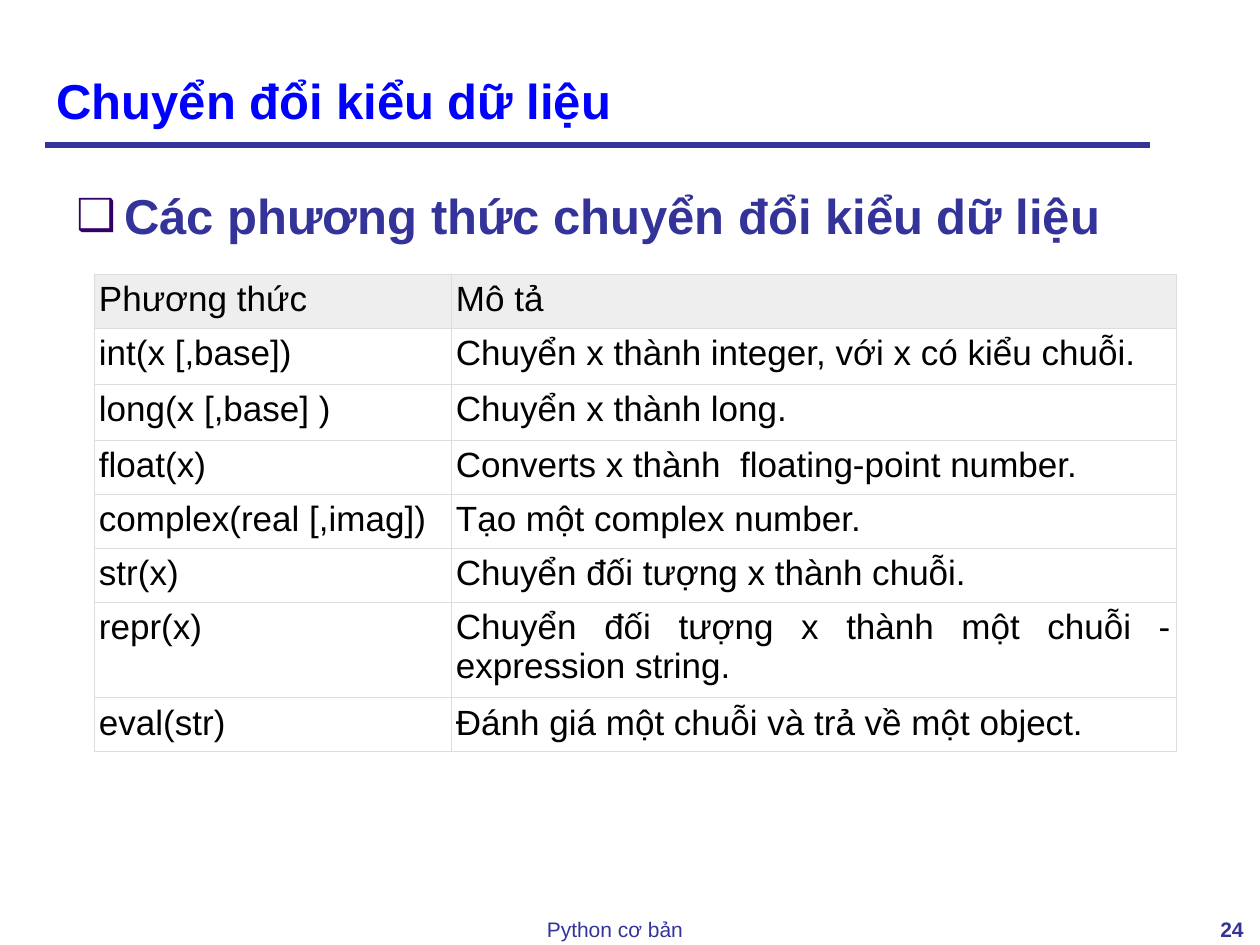
from lxml import etree
from pptx import Presentation
from pptx import util as u
from pptx.dml.color import RGBColor
from pptx.enum import shapes, text
from pptx.oxml import ns

# Content
TITLE = "Chuyển đổi kiểu dữ liệu"
HEADING = "Các phương thức chuyển đổi kiểu dữ liệu"
FOOTER = "Python cơ bản"
PAGE_NUMBER = "24"
METHODS = [
    ("Phương thức", "Mô tả"),
    ("int(x [,base])", "Chuyển x thành integer, với x có kiểu chuỗi."),
    ("long(x [,base] )", "Chuyển x thành long."),
    ("float(x)", "Converts x thành  floating-point number."),
    ("complex(real [,imag])", "Tạo một complex number."),
    ("str(x)", "Chuyển đối tượng x thành chuỗi."),
    ("repr(x)", "Chuyển đối tượng x thành một chuỗi - expression string."),
    ("eval(str)", "Đánh giá một chuỗi và trả về một object."),
]

# Measures in px
COLUMN_WIDTHS = (357, 725)
ROW_HEIGHT = 51
TALL_ROWS = {1: 56, 2: 56, 6: 93}
BULLET_INDENT = 48

BLUE = RGBColor(0x00, 0x00, 0xFF)
INDIGO = RGBColor(0x33, 0x33, 0x99)
PURPLE = RGBColor(0x33, 0x00, 0x66)
BLACK = RGBColor(0x00, 0x00, 0x00)
HEADER_GREY = RGBColor(0xEE, 0xEE, 0xEE)
BORDER_GREY = RGBColor(0xDD, 0xDD, 0xDD)

ALIGN = text.PP_ALIGN
ANCHOR = text.MSO_ANCHOR
SCALE = 914400 / 126


def px(length):
    return u.Emu(round(length * SCALE))


def place(shape, left, top, width, height):
    shape.left, shape.top = px(left), px(top)
    shape.width, shape.height = px(width), px(height)


def write(frame, words, size, color, bold=False, align=ALIGN.LEFT):
    para = frame.paragraphs[0]
    para.alignment = align
    span = para.add_run()
    span.text = words
    look = {"name": "Arial", "size": u.Pt(size), "bold": bold}
    for name, value in look.items():
        setattr(span.font, name, value)
    span.font.color.rgb = color
    return para


def add_text(page, area, *words, **look):
    box = page.shapes.add_textbox(*map(px, area))
    box.text_frame.word_wrap = True
    return write(box.text_frame, *words, **look)


def add_child(parent, tag, **attributes):
    return etree.SubElement(parent, ns.qn(tag), attributes)


def add_bullet(para):
    props = para._p.get_or_add_pPr()
    props.set("marL", str(px(BULLET_INDENT)))
    props.set("indent", str(-px(BULLET_INDENT)))
    color = add_child(props, "a:buClr")
    add_child(color, "a:srgbClr", val=str(PURPLE))
    add_child(props, "a:buSzPct", val="90000")
    add_child(props, "a:buFont", typeface="Arial")
    add_child(props, "a:buChar", char="❑")


def add_borders(cell):
    props = cell._tc.get_or_add_tcPr()
    for side in ("a:lnL", "a:lnR", "a:lnT", "a:lnB"):
        line = add_child(props, side, w=str(u.Pt(0.34)))
        fill = add_child(line, "a:solidFill")
        add_child(fill, "a:srgbClr", val=str(BORDER_GREY))


def add_methods(page):
    heights = [TALL_ROWS.get(row, ROW_HEIGHT) for row in range(len(METHODS))]
    frame = page.shapes.add_table(
        len(METHODS), len(COLUMN_WIDTHS), px(94), px(274),
        px(sum(COLUMN_WIDTHS)), px(sum(heights)))
    table = frame.table
    table.first_row = table.horz_banding = False
    for column, width in zip(table.columns, COLUMN_WIDTHS):
        column.width = px(width)
    for row, (height, words) in enumerate(zip(heights, METHODS)):
        table.rows[row].height = px(height)
        for cell, entry in zip(table.rows[row].cells, words):
            cell.margin_left = cell.margin_right = px(5)
            cell.margin_top = cell.margin_bottom = px(6)
            add_borders(cell)
            if row == 0:
                cell.fill.solid()
                cell.fill.fore_color.rgb = HEADER_GREY
            else:
                cell.fill.background()
            write(cell.text_frame, entry, 20, BLACK,
                  align=ALIGN.JUSTIFY if row else ALIGN.LEFT)


def main():
    deck = Presentation()
    deck.slide_width, deck.slide_height = px(1260), px(945)
    page = deck.slides.add_slide(deck.slide_layouts[5])

    # Title and the rule below it
    title = page.shapes.title
    place(title, 44, 26, 1091, 110)
    title.text_frame.auto_size = text.MSO_AUTO_SIZE.NONE
    title.text_frame.vertical_anchor = ANCHOR.BOTTOM
    write(title.text_frame, TITLE, 28, BLUE, bold=True)
    rule = page.shapes.add_connector(
        shapes.MSO_CONNECTOR.STRAIGHT, px(45), px(145), px(1150), px(145))
    rule.line.color.rgb = INDIGO
    rule.line.width = u.Pt(3)
    add_child(rule._element.spPr, "a:effectLst")

    # Heading with its bullet
    heading = add_text(page, (64, 165, 1091, 714), HEADING, 28, INDIGO, bold=True)
    heading.line_spacing = 1.25
    add_bullet(heading)

    # Table of methods
    add_methods(page)

    # Footer and page number
    add_text(page, (94, 910, 1042, 30), FOOTER, 12, INDIGO, align=ALIGN.CENTER)
    add_text(page, (1157, 910, 99, 30), PAGE_NUMBER, 12, INDIGO,
             bold=True, align=ALIGN.RIGHT)

    deck.save("out.pptx")


if __name__ == "__main__":
    main()
